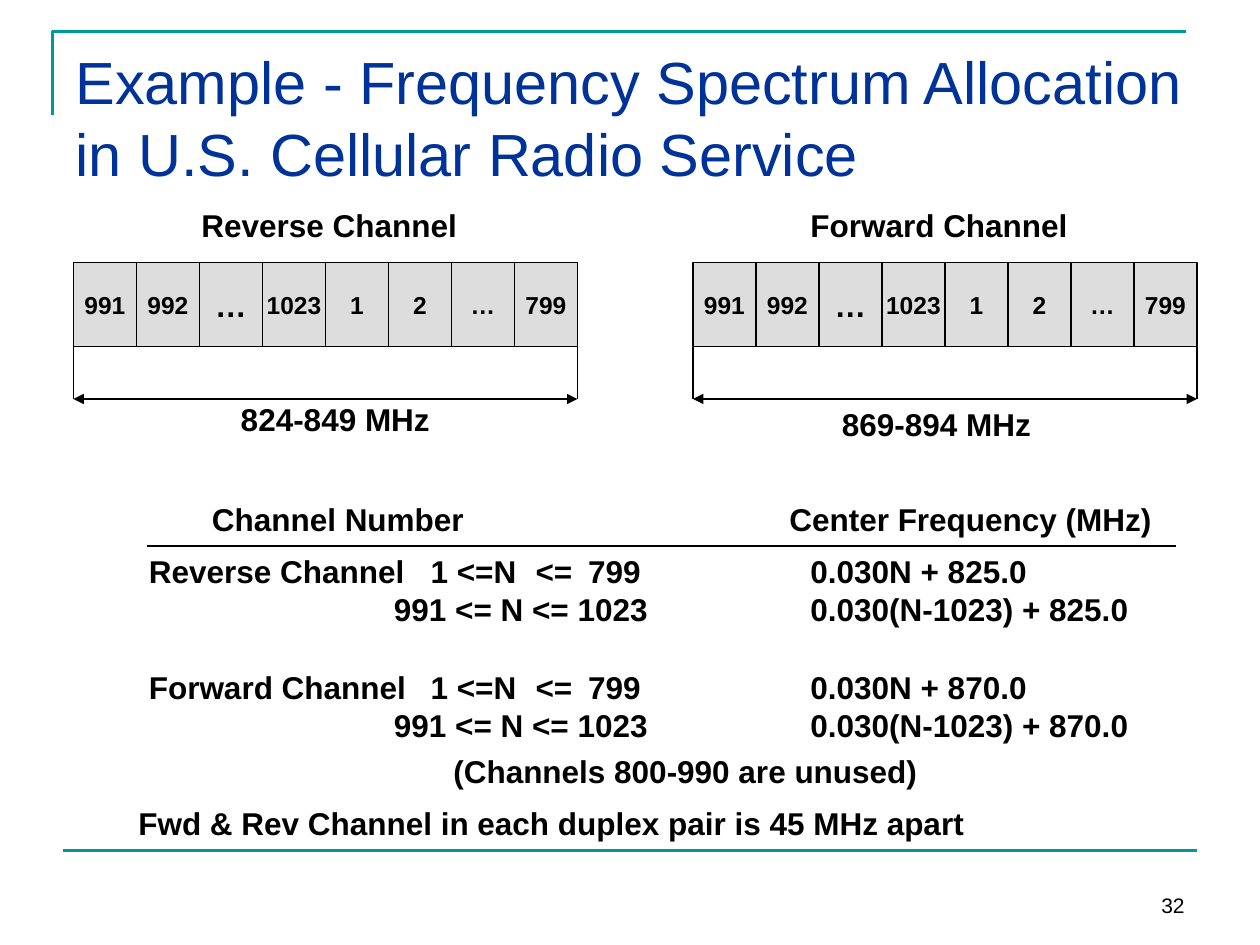
from lxml.etree import SubElement
from pptx import Presentation
from pptx.dml.color import RGBColor
from pptx.enum.shapes import MSO_CONNECTOR, MSO_SHAPE
from pptx.enum.text import MSO_ANCHOR, MSO_AUTO_SIZE, PP_ALIGN
from pptx.oxml.ns import qn
from pptx.util import Pt

BLACK = RGBColor(0x00, 0x00, 0x00)
TEAL = RGBColor(0x00, 0x99, 0x99)
NAVY = RGBColor(0x00, 0x33, 0x99)
GREY = RGBColor(0xDD, 0xDD, 0xDD)

CELL_W, CELL_H, BAND_TOP = 36, 48, 150
BAND_BOTTOM, ARROW_Y = BAND_TOP + CELL_H, 228
CHANNELS = ["991", "992", "…", "1023", "1", "2", "…", "799"]
ROW_TABS = [161, 221, 251]
ROW_INDENT = 140

prs = Presentation()
prs.slide_width, prs.slide_height = Pt(720), Pt(540)
s = prs.slides.add_slide(prs.slide_layouts[5])


def add_line(x1, y1, x2, y2, color=BLACK, width=0.75, arrows=False):
    line = s.shapes.add_connector(MSO_CONNECTOR.STRAIGHT, Pt(x1), Pt(y1), Pt(x2), Pt(y2))
    line.line.color.rgb = color
    line.line.width = Pt(width)
    spPr = line._element.spPr
    if arrows:
        for end in ("a:headEnd", "a:tailEnd"):
            SubElement(spPr.find(qn("a:ln")), qn(end), type="triangle")
    SubElement(spPr, qn("a:effectLst"))


def add_text(x, y, w, lines, indent=0, tabs=()):
    """Bold label; tabs apply to the first line, indent to the later ones."""
    tf = s.shapes.add_textbox(Pt(x), Pt(y), Pt(w), Pt(22 * len(lines) + 7)).text_frame
    tf.word_wrap = True
    for i, text in enumerate(lines):
        p = tf.add_paragraph() if i else tf.paragraphs[0]
        pPr = p._p.get_or_add_pPr()
        if i and indent:
            pPr.set("marL", str(Pt(indent)))
        if not i and tabs:
            tab_list = SubElement(pPr, qn("a:tabLst"))
            for pos in tabs:
                SubElement(tab_list, qn("a:tab"), pos=str(Pt(pos)), algn="l")
        r = p.add_run()
        r.text = text
        r.font.name, r.font.size, r.font.bold = "Arial", Pt(18), True
        r.font.color.rgb = BLACK


# Frame and page number
fb = s.shapes.build_freeform(Pt(30), Pt(66))
fb.add_line_segments([(Pt(30), Pt(18)), (Pt(678), Pt(18))], close=False)
corner = fb.convert_to_shape()
corner.shadow.inherit = False
corner.fill.background()
corner.line.color.rgb = TEAL
corner.line.width = Pt(1.5)
add_line(36, 486, 684, 486, TEAL, 1.5)

tf = s.shapes.add_textbox(Pt(516), Pt(492), Pt(168), Pt(36)).text_frame
tf.word_wrap = True
tf.vertical_anchor = MSO_ANCHOR.BOTTOM
p = tf.paragraphs[0]
p.alignment = PP_ALIGN.RIGHT
r = p.add_run()
r.text = "32"
r.font.name, r.font.size = "Arial", Pt(12)
r.font.color.rgb = BLACK

# Title
title = s.shapes.title
title.left, title.top, title.width, title.height = Pt(36), Pt(21.6), Pt(648), Pt(90)
tf = title.text_frame
tf.word_wrap = True
tf.auto_size = MSO_AUTO_SIZE.NONE
tf.vertical_anchor = MSO_ANCHOR.MIDDLE
p = tf.paragraphs[0]
p.alignment = PP_ALIGN.LEFT
r = p.add_run()
r.text = "Example - Frequency Spectrum Allocation in U.S. Cellular Radio Service"
r.font.name, r.font.size = "Arial", Pt(34)
r.font.color.rgb = NAVY

# Channel bands with their dimension lines
for left in (42, 396):
    for i, channel in enumerate(CHANNELS):
        sp = s.shapes.add_shape(MSO_SHAPE.RECTANGLE, Pt(left + i * CELL_W), Pt(BAND_TOP),
                                Pt(CELL_W), Pt(CELL_H))
        sp.shadow.inherit = False
        sp.fill.solid()
        sp.fill.fore_color.rgb = GREY
        sp.line.color.rgb = BLACK
        sp.line.width = Pt(0.75)
        tf = sp.text_frame
        tf.word_wrap = False
        tf.vertical_anchor = MSO_ANCHOR.MIDDLE
        p = tf.paragraphs[0]
        p.alignment = PP_ALIGN.CENTER
        r = p.add_run()
        r.text = channel
        r.font.name, r.font.bold = "Arial", True
        r.font.size = Pt(18 if i == 2 else 14)
        r.font.color.rgb = BLACK
    right = left + len(CHANNELS) * CELL_W
    for x in (left, right):
        add_line(x, BAND_BOTTOM, x, ARROW_Y)
    add_line(left, ARROW_Y, right, ARROW_Y, arrows=True)

add_text(108, 114, 170, ["Reverse Channel"])
add_text(456, 114, 170, ["Forward Channel"])
add_text(130.5, 225, 130, ["824-849 MHz"])
add_text(474, 228, 130, ["869-894 MHz"])

# Channel number to centre frequency
add_text(114, 282, 170, ["Channel Number"])
add_text(444, 282, 232, ["Center Frequency (MHz)"])
add_line(84, 312, 672, 312)
for y, name, base in ((312, "Reverse", "825.0"), (378, "Forward", "870.0")):
    add_text(78, y, 310, [f"{name} Channel\t1 <=N\t<=\t799", "991 <= N <= 1023"],
             ROW_INDENT, ROW_TABS)
    add_text(456, y, 205, [f"0.030N + {base}", f"0.030(N-1023) + {base}"])
add_text(252, 426, 290, ["(Channels 800-990 are unused)"])
add_text(72, 456, 548, ["Fwd & Rev Channel in each duplex pair is 45 MHz apart"])

prs.save("out.pptx")
